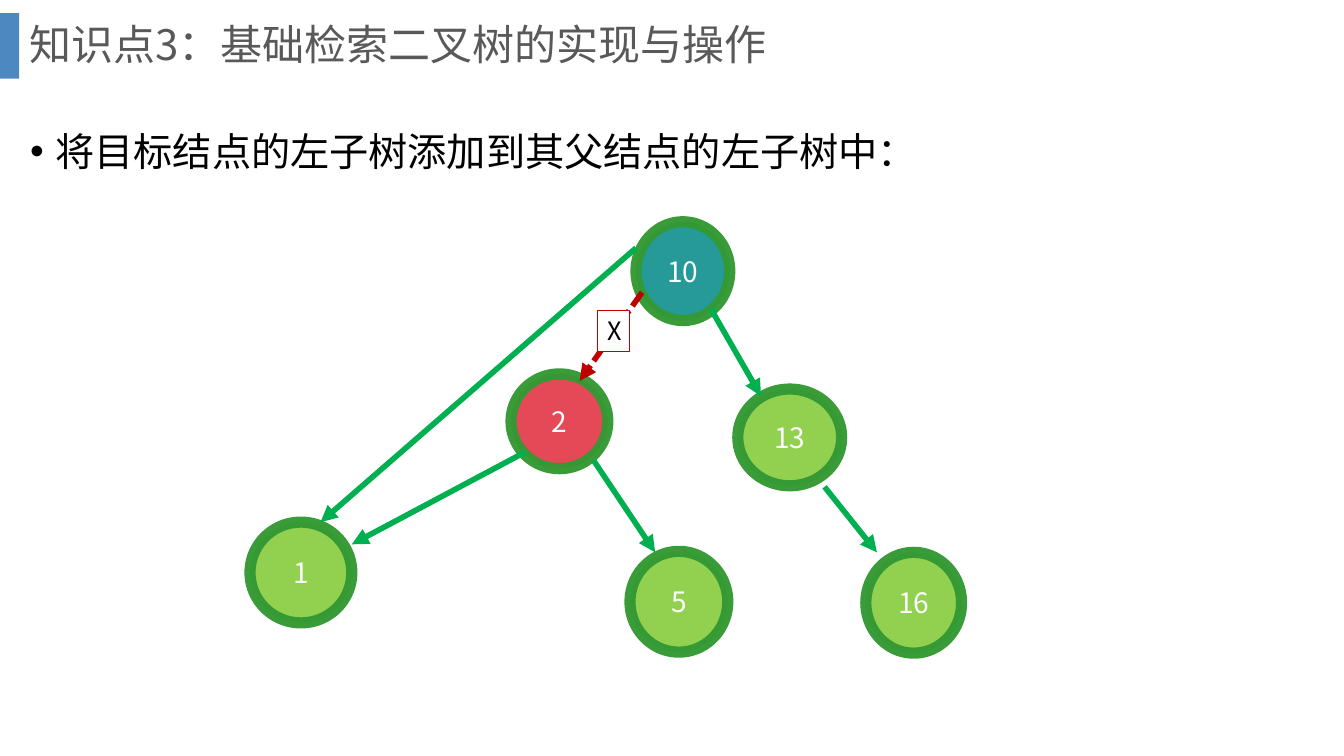
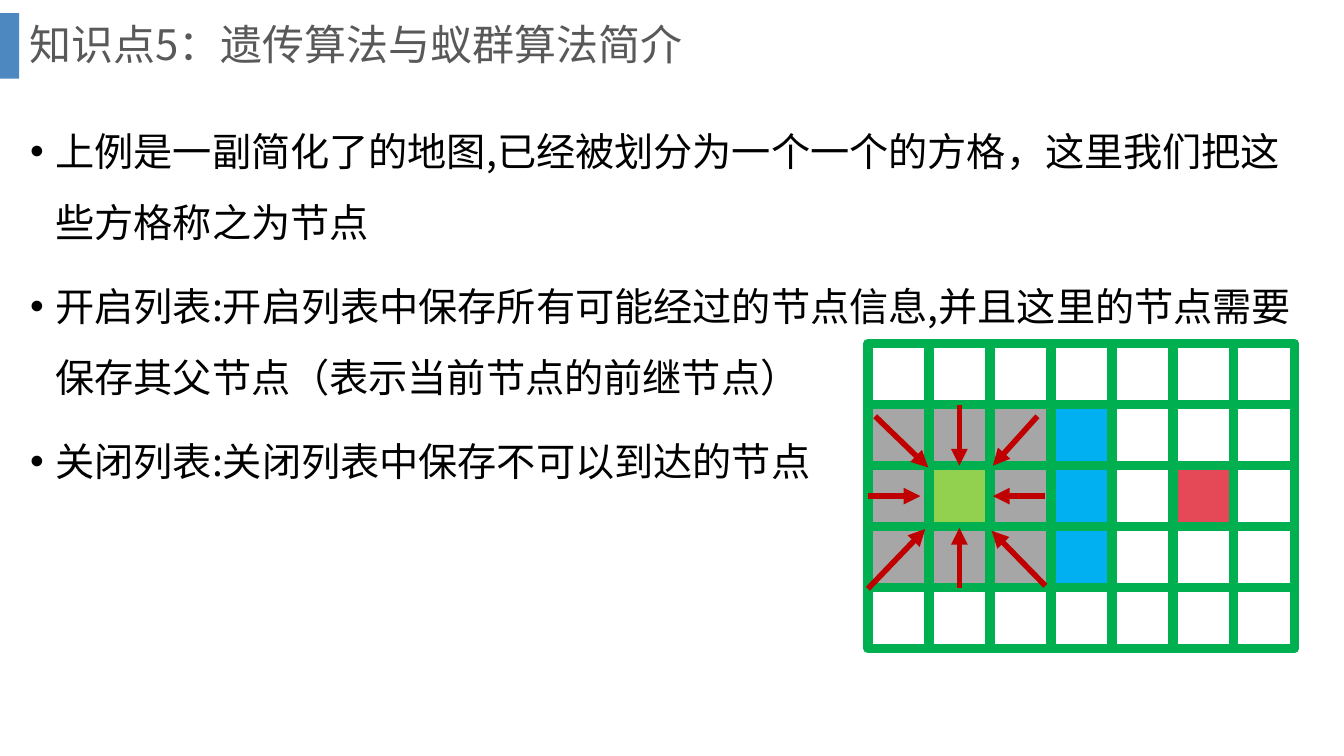
"""Build two lesson slides: removing a search-tree node, and a path-finding map."""
from lxml import etree
from pptx import Presentation
from pptx.dml.color import RGBColor
from pptx.enum.dml import MSO_LINE
from pptx.enum.shapes import MSO_CONNECTOR, MSO_SHAPE
from pptx.enum.text import MSO_ANCHOR, MSO_AUTO_SIZE, PP_ALIGN
from pptx.oxml.ns import qn
from pptx.util import Inches, Pt

RECTANGLE, ELLIPSE = MSO_SHAPE.RECTANGLE, MSO_SHAPE.OVAL
STRAIGHT = MSO_CONNECTOR.STRAIGHT
DASHED = MSO_LINE.SQUARE_DOT
LEFT, CENTER = PP_ALIGN.LEFT, PP_ALIGN.CENTER
TOP, MIDDLE = MSO_ANCHOR.TOP, MSO_ANCHOR.MIDDLE
NO_FIT, GROW = MSO_AUTO_SIZE.NONE, MSO_AUTO_SIZE.SHAPE_TO_FIT_TEXT

FONT = "Noto Sans CJK SC"
COLORS = {name: RGBColor.from_string(value) for name, value in {
    "band": "2E75B6", "title": "595959", "text": "000000", "white": "FFFFFF",
    "root": "269999", "target": "E54958", "node": "92D050", "ring": "339933",
    "link": "00B050", "cut": "C00000", "open": "A6A6A6", "wall": "00B0F0",
}.items()}

deck = Presentation()
deck.slide_width, deck.slide_height = Inches(13.33), Inches(7.5)
COL, ROW = deck.slide_width / 40, deck.slide_height / 30


def add_run(paragraph, text, size, color):
    """Append a run in the deck's font."""
    run = paragraph.add_run()
    run.text = text
    run.font.size, run.font.name = Pt(size), FONT
    run.font.color.rgb = COLORS[color]
    etree.SubElement(run._r.get_or_add_rPr(), qn("a:ea"), typeface=FONT)


def add_arrow(slide, points, color):
    """Draw an arrow through (x1, y1, x2, y2) and return it."""
    arrow = slide.shapes.add_connector(STRAIGHT, *(round(p) for p in points))
    arrow.line.width = Pt(4)
    arrow.line.color.rgb = COLORS[color]
    outline = arrow.line._get_or_add_ln()
    etree.SubElement(outline, qn("a:tailEnd"), type="triangle")
    etree.SubElement(arrow.element.spPr, qn("a:effectLst"))
    return arrow


layout = deck.slide_layouts[1]
areas = [(0.57, 0, 37.98, 3.72), (0.6, 3.92, 38.7, 23.84)]
for placeholder, (left, top, width, height) in zip(layout.placeholders, areas):
    placeholder.left, placeholder.top = round(left * COL), round(top * ROW)
    placeholder.width, placeholder.height = round(width * COL), round(height * ROW)

lessons = [
    ("知识点3：基础检索二叉树的实现与操作",
     ["将目标结点的左子树添加到其父结点的左子树中："]),
    ("知识点5：遗传算法与蚁群算法简介",
     ["上例是一副简化了的地图,已经被划分为一个一个的方格，这里我们把这些方格称之为节点",
      "开启列表:开启列表中保存所有可能经过的节点信息,并且这里的节点需要保存其父节点（表示当前节点的前继节点）",
      "关闭列表:关闭列表中保存不可以到达的节点"]),
]
for heading, points in lessons:
    slide = deck.slides.add_slide(layout)
    title = slide.shapes.title.text_frame
    title.vertical_anchor, title.auto_size = MIDDLE, NO_FIT
    title.paragraphs[0].alignment = LEFT
    title.paragraphs[0].line_spacing = 0.9
    add_run(title.paragraphs[0], heading, 30, "title")

    body = slide.placeholders[1].text_frame
    body.vertical_anchor, body.auto_size = TOP, NO_FIT
    for number, point in enumerate(points):
        paragraph = body.add_paragraph() if number else body.paragraphs[0]
        indents = paragraph._p.get_or_add_pPr()
        indents.set("marL", str(Inches(0.25)))
        indents.set("indent", str(-Inches(0.25)))
        paragraph.line_spacing = 1.5
        paragraph.space_before = Pt(10 if number else 0)
        add_run(paragraph, point, 28, "text")

tree_slide, map_slide = deck.slides

band = tree_slide.shapes.add_shape(
    RECTANGLE, 0, round(0.52 * ROW), round(0.57 * COL), round(2.6 * ROW))
band.shadow.inherit = False
band.fill.solid()
band.fill.fore_color.rgb = COLORS["band"]
band.line.fill.background()
band_color = next(band.element.iter(qn("a:srgbClr")))
etree.SubElement(band_color, qn("a:alpha"), val="85000")
band.element.nvSpPr.cNvPr.set("id", "20")
layout.shapes.element.insert(2, band.element)

nodes = [
    ("10", "root", 18.93, 8.8, 2.79, 3.92),
    ("2", "target", 15.21, 14.84, 2.88, 3.76),
    ("13", "node", 21.96, 15.44, 3.09, 3.84),
    ("1", "node", 7.44, 20.72, 3.03, 4),
    ("5", "node", 18.75, 21.88, 2.91, 4),
    ("16", "node", 25.77, 21.92, 2.85, 4),
]
for key, color, left, top, width, height in nodes:
    node = tree_slide.shapes.add_shape(
        ELLIPSE, round(left * COL), round(top * ROW), round(width * COL), round(height * ROW))
    node.shadow.inherit = False
    node.fill.solid()
    node.fill.fore_color.rgb = COLORS[color]
    node.line.width = Pt(8)
    node.line.color.rgb = COLORS["ring"]
    ring_color = next(node.line._get_or_add_ln().iter(qn("a:srgbClr")))
    etree.SubElement(ring_color, qn("a:alpha"), val="96000")
    node.text_frame.vertical_anchor = MIDDLE
    node.text_frame.paragraphs[0].alignment = CENTER
    add_run(node.text_frame.paragraphs[0], key, 20, "white")

removed_link = add_arrow(
    tree_slide, (19.11 * COL, 11.6 * ROW, 17.25 * COL, 15.12 * ROW), "cut")
removed_link.line.dash_style = DASHED
links = [
    (21.15, 12.24, 22.65, 15.72),
    (15.66, 17.92, 10.47, 21.6),
    (17.67, 18.28, 19.5, 21.92),
    (24.54, 19.32, 26.1, 21.92),
    (18.93, 9.84, 9.54, 20.72),
]
for x1, y1, x2, y2 in links:
    add_arrow(tree_slide, (x1 * COL, y1 * ROW, x2 * COL, y2 * ROW), "link")

cross = tree_slide.shapes.add_textbox(
    round(17.79 * COL), round(12.32 * ROW), round(0.96 * COL), round(1.64 * ROW))
cross.fill.solid()
cross.fill.fore_color.rgb = COLORS["white"]
cross.line.width = Pt(0.75)
cross.line.color.rgb = COLORS["cut"]
cross.text_frame.auto_size = GROW
add_run(cross.text_frame.paragraphs[0], "X", 18, "text")

TILE = 1.815 * COL
map_left, map_top = 25.83 * COL, 13.64 * ROW
terrain = {".": "white", "o": "open", "#": "wall", "S": "node", "T": "target"}
map_rows = [".......", "ooo#...", "oSo#.T.", "ooo#...", "......."]
tiles = map_slide.shapes.add_group_shape()
for row, marks in enumerate(map_rows):
    for column, mark in enumerate(marks):
        tile = tiles.shapes.add_shape(
            RECTANGLE, round(map_left + column * TILE), round(map_top + row * TILE),
            round(TILE), round(TILE))
        tile.shadow.inherit = False
        tile.fill.solid()
        tile.fill.fore_color.rgb = COLORS[terrain[mark]]
        tile.line.width = Pt(6.75)
        tile.line.color.rgb = COLORS["link"]

parent_steps = [
    (0, 2.5, 0.86, 2.5), (2.91, 2.5, 2.05, 2.5),
    (1.5, 1, 1.5, 2), (1.5, 4, 1.5, 3.02),
    (2.78, 1.19, 2.05, 2), (0, 4.02, 0.94, 3.04),
    (2.91, 3.97, 2.03, 3.07), (0.12, 1.19, 0.99, 2.03),
]
for x1, y1, x2, y2 in parent_steps:
    add_arrow(map_slide, (map_left + x1 * TILE, map_top + y1 * TILE,
                          map_left + x2 * TILE, map_top + y2 * TILE), "cut")

deck.save("out.pptx")
